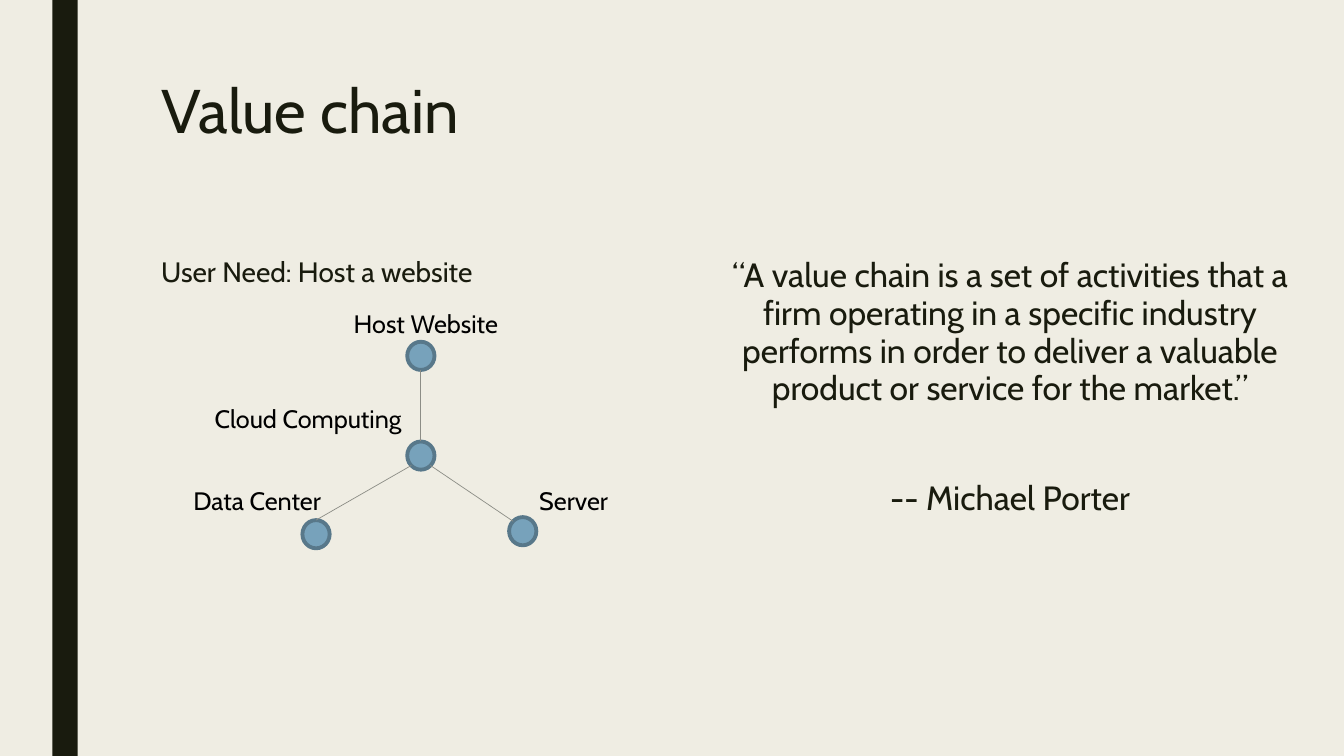
"""Build the value chain slide: a node diagram beside a quotation."""
from lxml.etree import SubElement
from pptx import Presentation
from pptx.dml.color import RGBColor
from pptx.enum.shapes import MSO_CONNECTOR as CONNECTOR, MSO_SHAPE as SHAPE
from pptx.enum.text import MSO_ANCHOR as ANCHOR, MSO_AUTO_SIZE as AUTO_SIZE, PP_ALIGN as ALIGN
from pptx.oxml.ns import qn
from pptx.util import Inches, Pt

COLORS = {"paper": "EFEDE3", "ink": "191B0E", "label": "000000",
          "node": "77A2BB", "ring": "58788A", "link": "8C8D86"}

deck = Presentation()
deck.slide_width, deck.slide_height = Inches(13.33), Inches(7.5)
slide = deck.slides.add_slide(deck.slide_layouts[5])
slide.background.fill.solid()
slide.background.fill.fore_color.rgb = RGBColor.from_string(COLORS["paper"])


def share(left, top, width, height):
    """Turn percentages of the slide into lengths."""
    across, down = deck.slide_width / 100, deck.slide_height / 100
    return int(left * across), int(top * down), int(width * across), int(height * down)


def write(box, lines, size, color, **layout):
    """Fill a box with paragraphs of one style."""
    frame = box.text_frame
    frame.word_wrap, frame.auto_size = True, AUTO_SIZE.NONE
    frame.vertical_anchor = ANCHOR.TOP
    for index, line in enumerate(lines):
        para = frame.paragraphs[0] if index == 0 else frame.add_paragraph()
        for name, value in ({"alignment": ALIGN.LEFT} | layout).items():
            setattr(para, name, value)
        para.space_before = Pt(49 if index else 0)
        span = para.add_run()
        span.text = line
        for name, value in {"name": "Cabin", "size": Pt(size)}.items():
            setattr(span.font, name, value)
        span.font.color.rgb = RGBColor.from_string(COLORS[color])


bar = slide.shapes.add_shape(SHAPE.RECTANGLE, *share(3.9, 0, 1.88, 100))
bar.shadow.inherit = False
bar.fill.solid()
bar.fill.fore_color.rgb = RGBColor.from_string(COLORS["ink"])
bar.line.fill.background()

title = slide.shapes.title
title.left, title.top, title.width, title.height = share(11.25, 10, 78.75, 21.6)
write(title, ["Value chain"], 44, "ink", line_spacing=0.89)

quote = ["“A value chain is a set of activities that a firm operating in a specific "
         "industry performs in order to deliver a valuable product or service for the market.”",
         "-- Michael Porter"]
columns = [
    (11.25, 40.35, ["User Need: Host a website"], 20, ALIGN.LEFT),
    (53.55, 43.2, quote, 24, ALIGN.CENTER),
]
for left, width, lines, size, alignment in columns:
    box = slide.shapes.add_textbox(*share(left, 33.33, width, 52.27))
    write(box, lines, size, "ink", alignment=alignment, line_spacing=0.94, space_after=Pt(2))

chain = [
    ("Host Website", (30.3, 45.2), (25.58, 40.13, 12.45)),
    ("Cloud Computing", (30.3, 58.4), (15.23, 52.67, 16.8)),
    ("Data Center", (22.5, 68.8), (13.65, 63.6, 12)),
    ("Server", (37.88, 68.4), (39.38, 63.6, 12)),
]
nodes = {}
for name, corner, label in chain:
    node = slide.shapes.add_shape(SHAPE.OVAL, *share(*corner, 2.03, 3.73))
    node.shadow.inherit = False
    node.fill.solid()
    node.fill.fore_color.rgb = RGBColor.from_string(COLORS["node"])
    node.line.color.rgb = RGBColor.from_string(COLORS["ring"])
    node.line.width = Pt(2.75)
    nodes[name] = node
    write(slide.shapes.add_textbox(*share(*label, 5.33)), [name], 18, "label")

TOP = (0.5, 0)
links = [
    ("Host Website", (0.5, 1), "Cloud Computing", TOP),
    ("Cloud Computing", (0.15, 0.85), "Data Center", TOP),
    ("Cloud Computing", (0.85, 0.85), "Server", (0.15, 0.15)),
]
for start, leave, end, arrive in links:
    ends = [int(place) for node, (across, down) in ((nodes[start], leave), (nodes[end], arrive))
            for place in (node.left + across * node.width, node.top + down * node.height)]
    link = slide.shapes.add_connector(CONNECTOR.STRAIGHT, *ends)
    if arrive == TOP:
        link.end_connect(nodes[end], 0)
    link.line.color.rgb = RGBColor.from_string(COLORS["link"])
    link.line.width = Pt(0.5)
    SubElement(link._element.spPr, qn("a:effectLst"))

deck.save("out.pptx")
